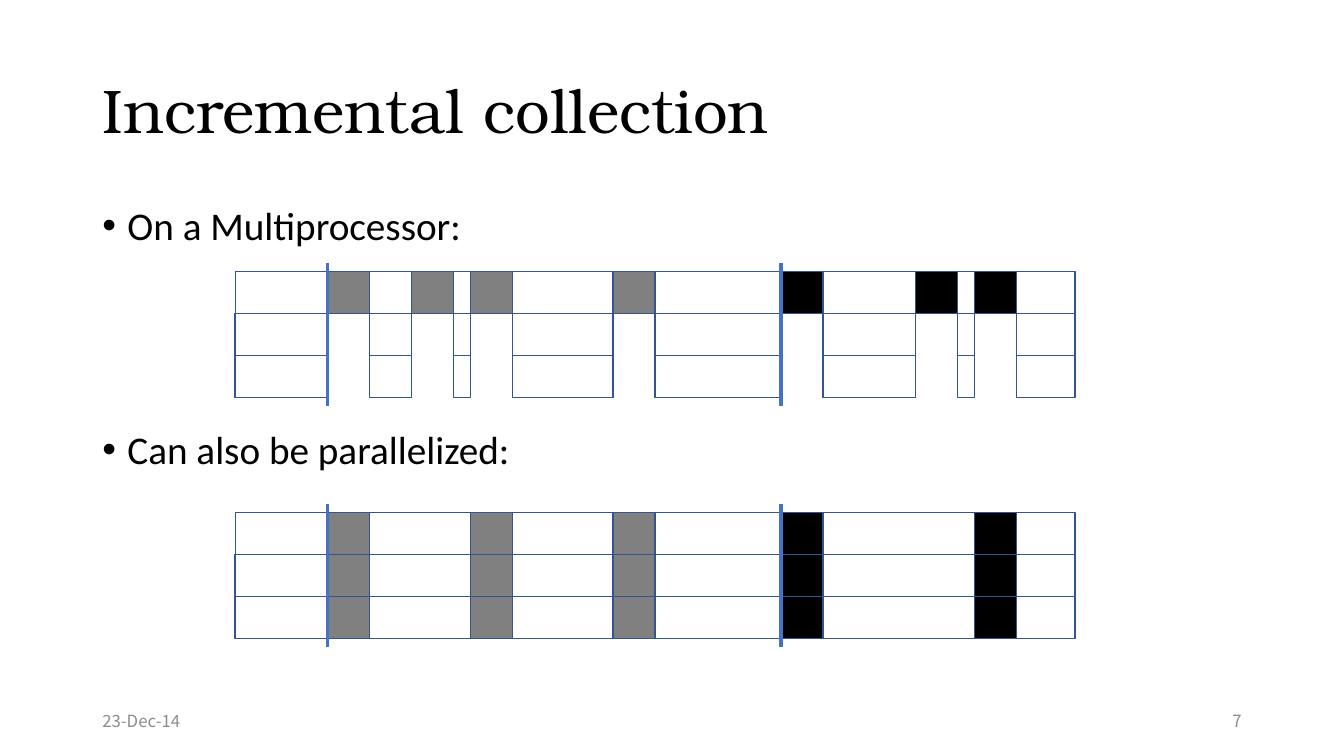
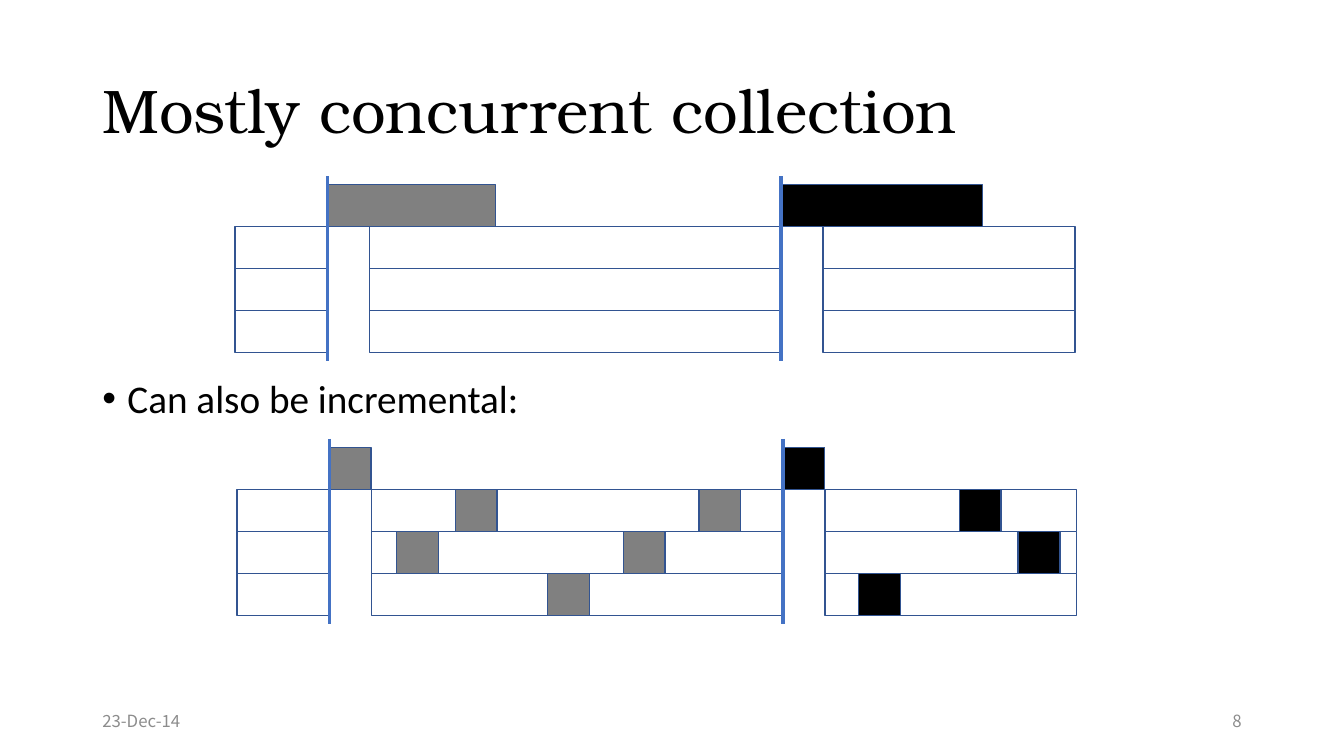
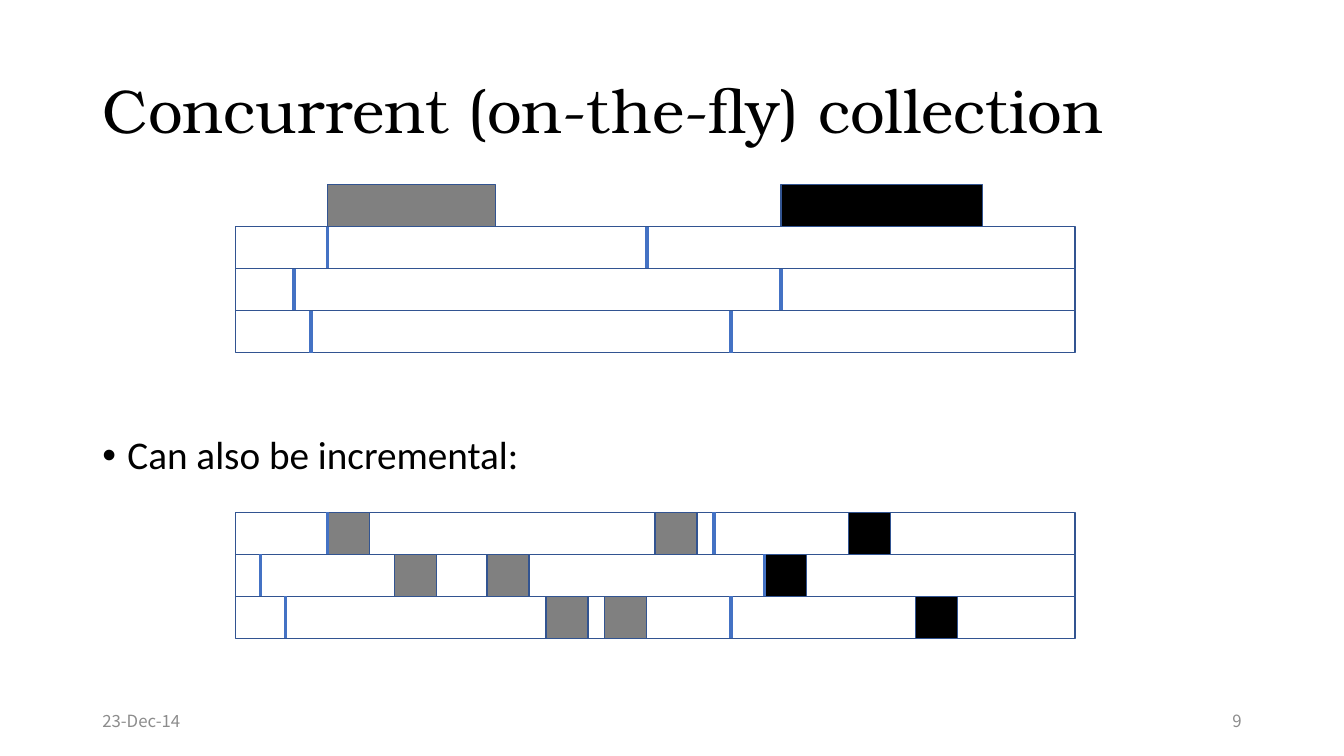
from lxml import etree
from pptx import Presentation
from pptx.dml.color import RGBColor
from pptx.enum.shapes import MSO_CONNECTOR, MSO_SHAPE
from pptx.enum.text import MSO_ANCHOR, MSO_AUTO_SIZE, PP_ALIGN
from pptx.oxml.ns import qn
from pptx.util import Pt

RECTANGLE = MSO_SHAPE.RECTANGLE
STRAIGHT = MSO_CONNECTOR.STRAIGHT
LEFT, RIGHT = PP_ALIGN.LEFT, PP_ALIGN.RIGHT
TOP, MIDDLE = MSO_ANCHOR.TOP, MSO_ANCHOR.MIDDLE
NO_AUTOFIT = MSO_AUTO_SIZE.NONE
TITLE_ONLY = 5

WHITE, BLACK, GRAY = "FFFFFF", "000000", "808080"
OUTLINE, CYCLE_LINE, FOOTER_GRAY = "325491", "4472C4", "8C8C8C"
TITLE_FONT, BODY_FONT, FOOTER_FONT = "TeX Gyre Bonum", "Calibri", "Noto Sans CJK SC"

MARGIN, CONTENT_WIDTH = 66, 828
FIRST_NUMBER = 7
TICK = 6          # width of one time unit
ROW = 30          # height of one processor row
PAUSE = 5         # time units of one collection step
END = 100         # time units of a whole timeline
TIMELINE_LEFT = 168
OVERHANG = 6      # how far a cycle line extends beyond the rows


def color(hex_string):
    """Turn a hex string into a colour."""
    return RGBColor.from_string(hex_string)


def write(frame, text, size=12, font=BODY_FONT, fill=BLACK, align=LEFT, anchor=TOP,
          spacing=1.0, before=0, bullet=False, new=False):
    """Write a formatted paragraph, in the first one of the frame unless new."""
    frame.word_wrap = True
    frame.auto_size = NO_AUTOFIT
    frame.vertical_anchor = anchor
    paragraph = frame.add_paragraph() if new else frame.paragraphs[0]
    paragraph.alignment = align
    paragraph.line_spacing = spacing
    paragraph.space_before = Pt(before)
    run = paragraph.add_run()
    run.text = text
    run.font.size = Pt(size)
    run.font.name = font
    run.font.color.rgb = color(fill)
    if bullet:
        properties = paragraph._p.get_or_add_pPr()
        properties.set("marL", str(Pt(18)))
        properties.set("indent", str(-Pt(18)))
        etree.SubElement(properties, qn("a:buFont")).set("typeface", "Arial")
        etree.SubElement(properties, qn("a:buChar")).set("char", "•")


def work_spans(pauses):
    """Return the start and end of the work left between the pauses."""
    starts = [0] + [pause + PAUSE for pause in pauses]
    return list(zip(starts, list(pauses) + [END]))


class Deck:
    """The presentation, its shared style and the current slide."""

    def __init__(self):
        """Start a widescreen presentation."""
        self.presentation = Presentation()
        self.presentation.slide_width = Pt(960)
        self.presentation.slide_height = Pt(540)
        self.slide = None

    def add_slide(self, heading):
        """Add a slide with its title, date and number."""
        slides = self.presentation.slides
        self.slide = slides.add_slide(self.presentation.slide_layouts[TITLE_ONLY])
        title = self.slide.shapes.title
        title.left, title.top = Pt(MARGIN), Pt(28.75)
        title.width, title.height = Pt(CONTENT_WIDTH), Pt(104.4)
        write(title.text_frame, heading, size=44, font=TITLE_FONT, anchor=MIDDLE, spacing=0.9)
        number = str(FIRST_NUMBER + len(slides) - 1)
        for left, text, align in ((MARGIN, "23-Dec-14", LEFT), (678, number, RIGHT)):
            write(self.text_box(left, 500.5, 216, 28.75), text, font=FOOTER_FONT,
                  fill=FOOTER_GRAY, align=align, anchor=MIDDLE)

    def text_box(self, left, top, width, height):
        """Add a text box and return its text frame."""
        box = self.slide.shapes.add_textbox(Pt(left), Pt(top), Pt(width), Pt(height))
        return box.text_frame

    def body(self, *bullets, drop=0, gap=10):
        """Add the bullets, the first lowered by drop, the others gap apart."""
        frame = self.text_box(MARGIN, 143.75, CONTENT_WIDTH, 342.65)
        frame.margin_top = Pt(3.6 + drop)
        for index, text in enumerate(bullets):
            write(frame, text, size=28, spacing=0.9, before=gap if index else 10,
                  bullet=True, new=index > 0)

    def bar(self, start, end, top, fill=WHITE, left=TIMELINE_LEFT):
        """Add a bar from start to end in time units."""
        bar = self.slide.shapes.add_shape(RECTANGLE, Pt(left + start * TICK), Pt(top),
                                          Pt((end - start) * TICK), Pt(ROW))
        bar.shadow.inherit = False
        bar.fill.solid()
        bar.fill.fore_color.rgb = color(fill)
        bar.line.color.rgb = color(OUTLINE)
        bar.line.width = Pt(1)

    def steps(self, top, gray, black, left=TIMELINE_LEFT):
        """Add the collection steps of one row, by cycle colour."""
        for fill, starts in ((GRAY, gray), (BLACK, black)):
            for start in starts:
                self.bar(start, start + PAUSE, top, fill, left)

    def work(self, top, pauses, left=TIMELINE_LEFT):
        """Add one row of program work, interrupted by the pauses."""
        for start, end in work_spans(pauses):
            self.bar(start, end, top, left=left)

    def cycle_lines(self, times, top, rows, overhang=0, left=TIMELINE_LEFT):
        """Add vertical lines where collection cycles start."""
        for time in times:
            x = Pt(left + time * TICK)
            line = self.slide.shapes.add_connector(
                STRAIGHT, x, Pt(top - overhang), x, Pt(top + rows * ROW + overhang))
            line.line.color.rgb = color(CYCLE_LINE)
            line.line.width = Pt(2.5)
            etree.SubElement(line._element.spPr, qn("a:effectLst"))

    def paused_timeline(self, top, gray, black, parallel=False):
        """Add three rows that all stop while one, or each, collects."""
        self.bar(0, END, top)
        self.steps(top, gray, black)
        for row in (1, 2):
            self.work(top + row * ROW, gray + black)
            if parallel:
                self.steps(top + row * ROW, gray, black)
        self.cycle_lines(CYCLES, top, 3, OVERHANG)

    def concurrent_timeline(self, top, collector_ends, left=TIMELINE_LEFT):
        """Add a collector row above three rows that stop at each cycle start."""
        for start, end, fill in zip(CYCLES, collector_ends, (GRAY, BLACK)):
            self.bar(start, end, top, fill, left)
        for row in (1, 2, 3):
            self.work(top + row * ROW, CYCLES, left)
        self.cycle_lines(CYCLES, top, 4, OVERHANG, left)

    def staggered_timeline(self, top, rows):
        """Add full rows, each with its own steps and cycle starts."""
        for index, (gray, black, cycles) in enumerate(rows):
            row_top = top + index * ROW
            self.bar(0, END, row_top)
            self.steps(row_top, gray, black)
            self.cycle_lines(cycles, row_top, 1)


CYCLES = (11, 65)
LONG_ENDS = (31, 89)
UPPER_TOP, LOWER_TOP = 132, 366

deck = Deck()

deck.add_slide("Incremental collection")
deck.body("On a Multiprocessor:", "Can also be parallelized:", gap=130)
deck.paused_timeline(194, (11, 21, 28, 45), (65, 81, 88))
deck.paused_timeline(LOWER_TOP, (11, 28, 45), (65, 88), parallel=True)

deck.add_slide("Mostly concurrent collection")
deck.body("Can also be incremental:", drop=123.5)
deck.concurrent_timeline(UPPER_TOP, LONG_ENDS)
incremental_left, incremental_top = 169.2, 319.5
deck.concurrent_timeline(incremental_top, [start + PAUSE for start in CYCLES], incremental_left)
thread_steps = [((26, 55), (86,)), ((19, 46), (93,)), ((37,), (74,))]
for row, (gray, black) in enumerate(thread_steps, start=1):
    deck.steps(incremental_top + row * ROW, gray, black, incremental_left)

deck.add_slide("Concurrent (on-the-fly) collection")
deck.body("Can also be incremental:", drop=164)
for start, end, fill in zip(CYCLES, LONG_ENDS, (GRAY, BLACK)):
    deck.bar(start, end, UPPER_TOP, fill)
deck.staggered_timeline(UPPER_TOP + ROW, [
    ((), (), (11, 49)),
    ((), (), (7, 65)),
    ((), (), (9, 59)),
])
deck.staggered_timeline(LOWER_TOP, [
    ((11, 50), (73,), (11, 57)),
    ((19, 30), (63,), (3, 63)),
    ((37, 44), (81,), (6, 59)),
])

deck.presentation.save("out.pptx")
